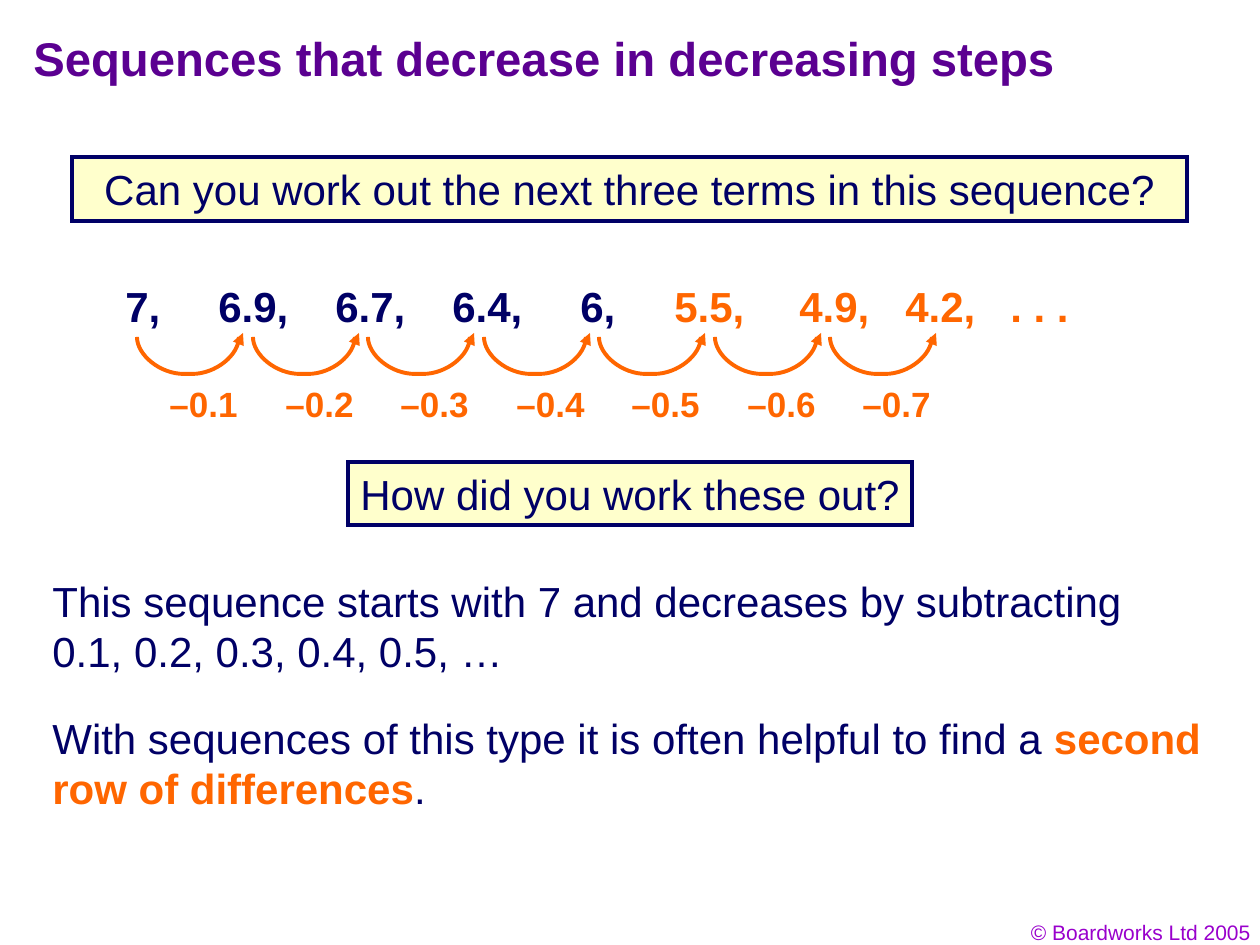
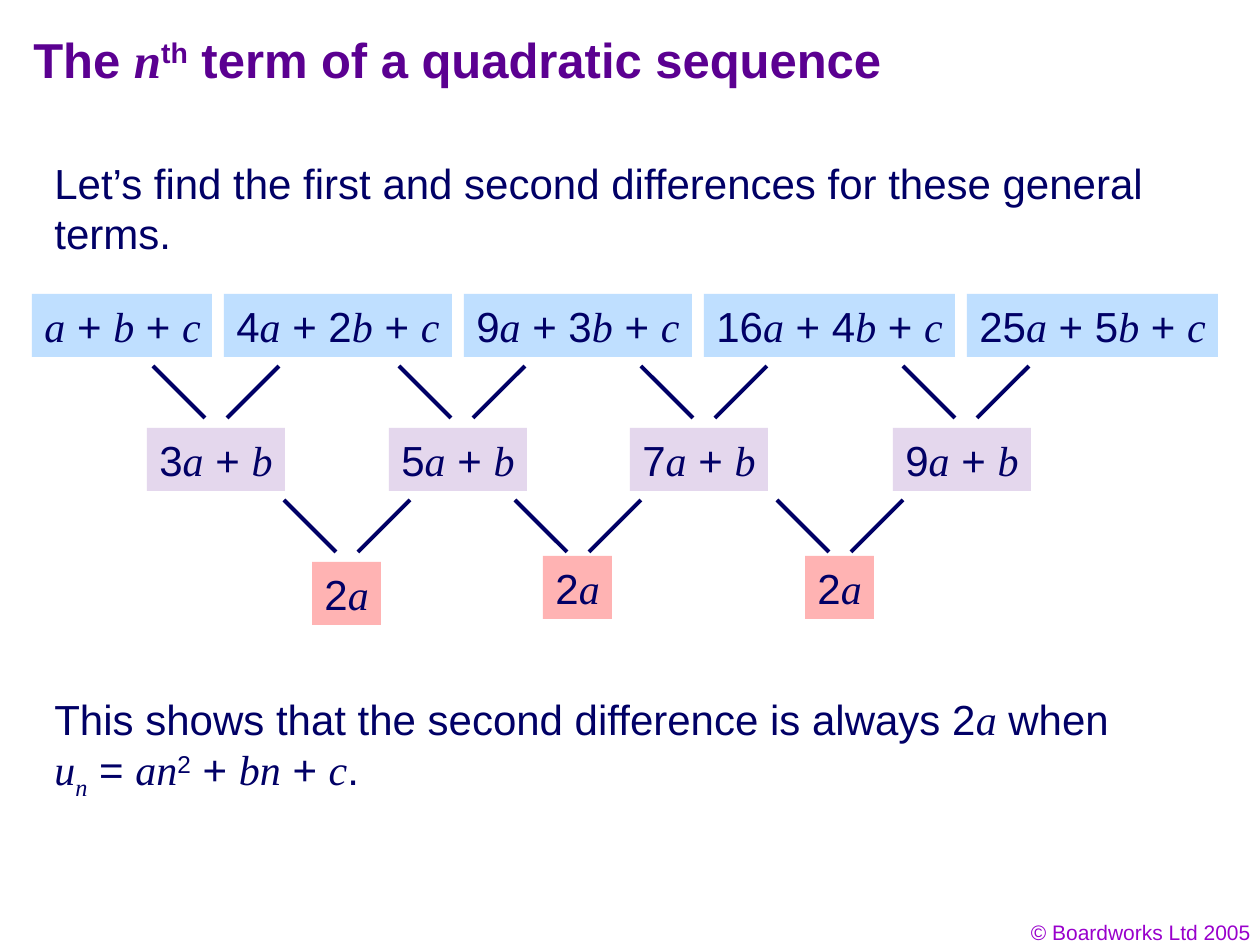
from dataclasses import dataclass
from itertools import groupby
from typing import NamedTuple

from lxml.etree import SubElement
from pptx import Presentation
from pptx.dml.color import RGBColor
from pptx.enum.shapes import MSO_CONNECTOR as Connector, MSO_SHAPE as Preset
from pptx.enum.text import PP_ALIGN as Align
from pptx.oxml.ns import qn
from pptx.util import Emu, Pt

PX_PER_INCH = 126


@dataclass(frozen=True)
class Theme:
    """Colours, fonts and type sizes shared by the slides."""
    navy: str = "000066"
    ink: str = "010066"
    purple: str = "5B0091"
    violet: str = "9900CC"
    orange: str = "FF6600"
    cream: str = "FFFFCC"
    sky: str = "BFDFFF"
    lilac: str = "E4D7ED"
    rose: str = "FFB3B3"
    sans: str = "Arial"
    serif: str = "Times New Roman"
    body: int = 24
    step: int = 20
    footer: int = 12
    stroke: float = 2.25


THEME = Theme()
STYLES = {
    "plain": {},
    "variable": {"name": THEME.serif, "italic": True},
    "index": {"name": THEME.serif, "italic": True, "baseline": -25000},
    "power": {"baseline": 30000},
    "key": {"bold": True, "color": THEME.orange},
}


class Box(NamedTuple):
    """A region in px."""
    x: int
    y: int
    w: int
    h: int


def px(length):
    """Turn px into EMU."""
    return Emu(round(length * 914400 / PX_PER_INCH))


def plain(text):
    """Give a text as one plain piece."""
    return [(text, "plain")]


def algebra(expression):
    """Split an expression into plain and variable pieces."""
    return [("".join(part), "variable" if is_letter else "plain")
            for is_letter, part in groupby(expression, str.isalpha)]


def add_run(paragraph, text, size, **look):
    """Add one run with its look."""
    run = paragraph.add_run()
    run.text = text
    run.font.size = Pt(size)
    run.font.name = look.get("name", THEME.sans)
    run.font.bold = look.get("bold", False)
    run.font.italic = look.get("italic", False)
    run.font.color.rgb = RGBColor.from_string(look["color"])
    if "baseline" in look:
        run.font._element.set("baseline", str(look["baseline"]))


def set_tabs(paragraph, stops):
    """Set left tab stops, in px from the text edge."""
    tabs = SubElement(paragraph._p.get_or_add_pPr(), qn("a:tabLst"))
    for stop in stops:
        SubElement(tabs, qn("a:tab"), pos=str(px(stop)), algn="l")


def add_text(canvas, box, paragraphs, size=THEME.body, color=THEME.ink, bold=False,
             align=Align.LEFT, fill=None, outline=None, wrap=True, stops=()):
    """Write paragraphs in a box, with a panel behind them if a fill is given."""
    edges = [px(length) for length in box]
    if fill:
        holder = canvas.shapes.add_shape(Preset.RECTANGLE, *edges)
        holder.shadow.inherit = False
        holder.fill.solid()
        holder.fill.fore_color.rgb = RGBColor.from_string(fill)
        if outline:
            style_line(holder.line, outline)
            SubElement(holder.line._get_or_add_ln(), qn("a:miter"), lim="800000")
        else:
            holder.line.fill.background()
    else:
        holder = canvas.shapes.add_textbox(*edges)
    frame = holder.text_frame
    frame.word_wrap = wrap
    for number, pieces in enumerate(paragraphs):
        paragraph = frame.add_paragraph() if number else frame.paragraphs[0]
        paragraph.alignment = align
        if stops:
            set_tabs(paragraph, stops)
        for text, style in pieces:
            add_run(paragraph, text, size, **{"color": color, "bold": bold, **STYLES[style]})


def style_line(line, color):
    """Give a line its colour and the shared width."""
    line.color.rgb = RGBColor.from_string(color)
    line.width = Pt(THEME.stroke)


def add_line(canvas, start, end, color, arrow=False):
    """Draw a straight line, with an arrowhead at its end if wanted."""
    line = canvas.shapes.add_connector(Connector.STRAIGHT, *map(px, start + end))
    style_line(line.line, color)
    if arrow:
        SubElement(line.line._get_or_add_ln(), qn("a:tailEnd"), type="triangle")
    SubElement(line._element.spPr, qn("a:effectLst"))


def new_slide(deck, title, title_size, title_box):
    """Add a blank slide with the shared title style and footer."""
    slide = deck.slides.add_slide(deck.slide_layouts[6])
    add_text(slide, title_box, [title], title_size, THEME.purple, bold=True)
    add_text(slide, Box(969, 913, 294, 38), [plain("© Boardworks Ltd 2005")],
             THEME.footer, THEME.violet, align=Align.RIGHT)
    return slide


def add_terms(slide, box):
    """Write the terms of the sequence in a row."""
    groups = [
        (0, 527, "7,\t6.9,\t6.7,\t6.4,\t6,", THEME.navy, (93, 210, 327, 455)),
        (549, 95, "5.5,", THEME.orange, ()),
        (674, 95, "4.9,", THEME.orange, ()),
        (780, 190, "4.2,\t. . .", THEME.orange, (105,)),
    ]
    for offset, width, terms, color, stops in groups:
        add_text(slide, Box(box.x + offset, box.y, width, box.h), [plain(terms)],
                 color=color, bold=True, stops=stops)


def add_bowl(canvas, box):
    """Draw an open curve that hangs from the top corners of a box."""
    bend, slope = 47, 23
    right, bottom, middle = box.x + box.w, box.y + box.h, box.y + box.h // 2
    start, *rest = [(px(x), px(y)) for x, y in (
        (right, box.y), (right, middle), (right - slope, bottom), (right - bend, bottom),
        (box.x + bend, bottom),
        (box.x + slope, bottom), (box.x, middle), (box.x, box.y))]
    builder = canvas.shapes.build_freeform(*start)
    builder.add_line_segments(rest, close=False)
    bowl = builder.convert_to_shape()
    outline = next(bowl._element.iter(qn("a:path")))
    segments = outline.findall(qn("a:lnTo"))
    for controls in (segments[:3], segments[4:]):
        curve = SubElement(outline, qn("a:cubicBezTo"))
        controls[0].addprevious(curve)
        for segment in controls:
            curve.append(segment[0])
            outline.remove(segment)
    bowl.shadow.inherit = False
    bowl.fill.background()
    style_line(bowl.line, THEME.orange)


def add_hop(slide, box, difference):
    """Draw a curved arrow along the top of a box with its difference below."""
    hop = slide.shapes.add_group_shape()
    tip, depth = box.x + box.w, 37
    add_bowl(hop, Box(box.x, box.y, box.w, depth))
    add_line(hop, (tip + 1, box.y + 3), (tip + 4, box.y - 4), THEME.orange, arrow=True)
    add_text(hop, Box(box.x + 20, box.y + depth + 2, 93, 55), [plain(difference)],
             THEME.step, THEME.orange, bold=True, wrap=False)


def add_panel(slide, box, question, align=Align.LEFT, wrap=True):
    """Add an outlined question panel."""
    add_text(slide, box, [plain(question)], color=THEME.navy, align=align,
             fill=THEME.cream, outline=THEME.navy, wrap=wrap)


def build_decreasing_steps(deck):
    """Build the slide on decreasing sequences."""
    slide = new_slide(deck, plain("Sequences that decrease in decreasing steps"), 27,
                      Box(21, 23, 1082, 87))
    add_panel(slide, Box(72, 157, 1115, 64),
              "Can you work out the next three terms in this sequence?", Align.CENTER)
    add_panel(slide, Box(348, 462, 564, 63), "How did you work these out?", wrap=False)
    add_text(slide, Box(40, 569, 1166, 113), [plain(
        "This sequence starts with 7 and decreases by subtracting 0.1, 0.2, 0.3, 0.4, 0.5, …")],
        color=THEME.navy)
    add_terms(slide, Box(113, 274, 970, 63))
    for hop in range(7):
        add_hop(slide, Box(137 + (hop * 231 + 1) // 2, 337, 102, 94), f"–0.{hop + 1}")
    add_text(slide, Box(40, 706, 1188, 113), [[
        ("With sequences of this type it is often helpful to find a ", "plain"),
        ("second row of differences", "key"), (".", "plain")]])


def add_tile(slide, box, expression, fill):
    """Add an expression on a coloured tile."""
    add_text(slide, box, [algebra(expression)], fill=fill, wrap=False)


def add_fork(slide, box):
    """Draw two lines that run together towards the foot of a box."""
    fork, reach = slide.shapes.add_group_shape(), 52
    for top, foot in ((box.x, box.x + reach), (box.x + box.w, box.x + box.w - reach)):
        add_line(fork, (top, box.y), (foot, box.y + box.h), THEME.navy)


def add_difference_tree(slide, box):
    """Lay out the general terms with their first and second differences."""
    height, gap = 63, 12
    left = box.x
    for expression, width in (("a + b + c", 180), ("4a + 2b + c", 228), ("9a + 3b + c", 228),
                              ("16a + 4b + c", 251), ("25a + 5b + c", 251)):
        add_tile(slide, Box(left, box.y, width, height), expression, THEME.sky)
        left += width + gap
    first = [(121, 115, 134, "3a + b"), (367, 357, 134, "5a + b"),
             (609, 598, 134, "7a + b"), (871, 861, 134, "9a + b")]
    second = [(252, 280, 268, "2a"), (483, 511, 262, "2a"), (745, 773, 262, "2a")]
    for fork_top, width, fill, differences in ((72, 138, THEME.lilac, first),
                                               (206, 69, THEME.rose, second)):
        for fork, tile, top, expression in differences:
            add_fork(slide, Box(box.x + fork, box.y + fork_top, 126, 52))
            add_tile(slide, Box(box.x + tile, box.y + top, width, height), expression, fill)


def build_quadratic_term(deck):
    """Build the slide on the general term of a quadratic sequence."""
    title = [("The ", "plain"), ("n", "variable"), ("th", "power"),
             (" term of a quadratic sequence", "plain")]
    slide = new_slide(deck, title, 28, Box(21, 23, 1018, 78))
    add_text(slide, Box(42, 151, 1157, 113), [plain(
        "Let’s find the first and second differences for these general terms.")])
    add_difference_tree(slide, Box(32, 294, 1186, 331))
    add_text(slide, Box(42, 687, 1196, 121), [
        [("This shows that the second difference is always 2", "plain"),
         ("a", "variable"), (" when", "plain")],
        [("u", "variable"), ("n", "index"), (" = ", "plain"), ("an", "variable"),
         ("2", "power"), *algebra(" + bn + c.")],
    ])


def main():
    """Build and save the deck."""
    deck = Presentation()
    deck.slide_width, deck.slide_height = px(1260), px(945)
    build_decreasing_steps(deck)
    build_quadratic_term(deck)
    deck.save("out.pptx")


if __name__ == "__main__":
    main()
